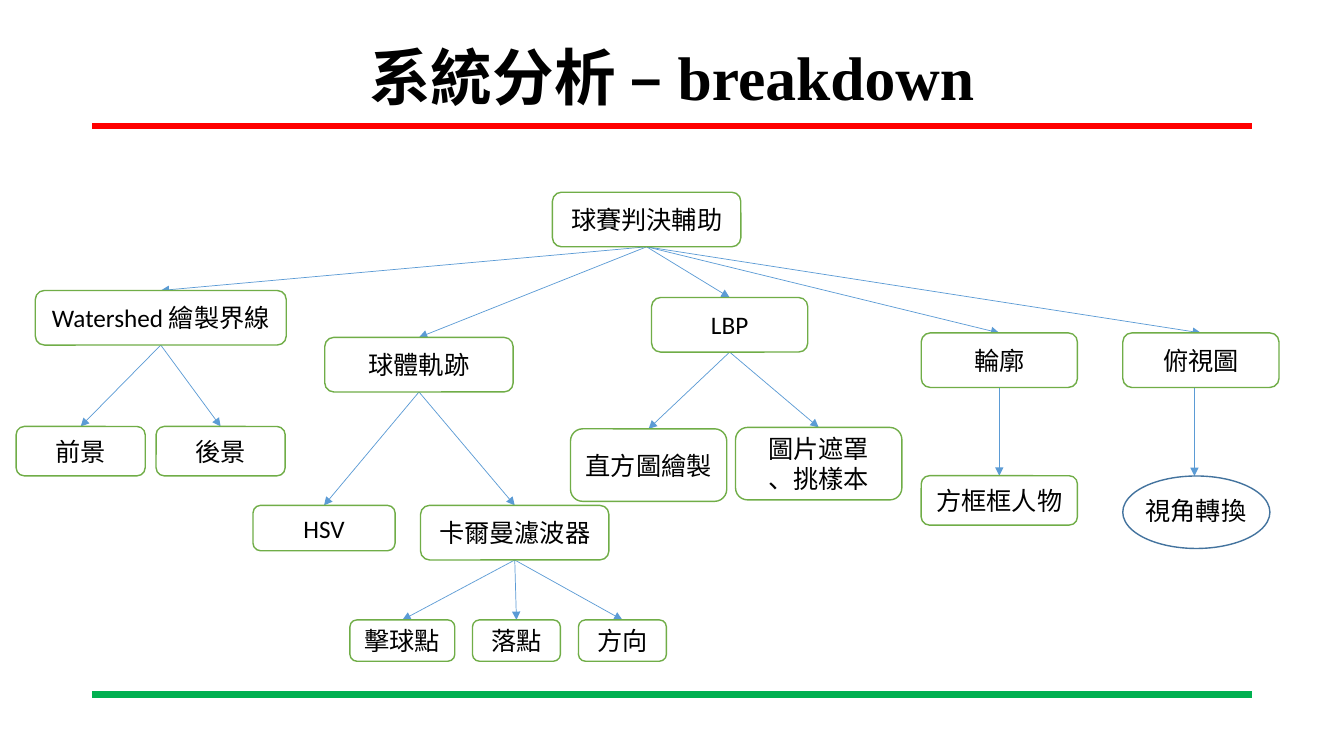
"""Build the system analysis breakdown slide."""
from lxml.etree import SubElement
from pptx import Presentation
from pptx.dml.color import RGBColor
from pptx.enum.shapes import MSO_CONNECTOR as LINK, MSO_SHAPE as KIND
from pptx.enum.text import MSO_ANCHOR as ANCHOR, PP_ALIGN as ALIGN
from pptx.oxml.ns import qn
from pptx.util import Pt

TITLE = "系統分析 – breakdown"
RULES = [(90, "FF0000"), (496, "00B050")]
ROOT, TRACK, FILTER = "球賽判決輔助", "球體軌跡", "卡爾曼濾波器"
SHED, CONTOUR, PLAN = "Watershed 繪製界線", "輪廓", "俯視圖"
MASK = "圖片遮罩\n、挑樣本"
# text: (parent, left, top, width, height)
NODES = {
    ROOT: (None, 394.6, 137.3, 134.6, 39),
    SHED: (ROOT, 25.2, 207.5, 179.3, 39),
    TRACK: (ROOT, 232, 241, 134.6, 39),
    "LBP": (ROOT, 465.4, 212.5, 111.6, 39),
    CONTOUR: (ROOT, 658, 237.8, 111.6, 39),
    PLAN: (ROOT, 802, 237.8, 111.6, 39),
    "前景": (SHED, 11.5, 304.6, 92.2, 35.3),
    "後景": (SHED, 111.5, 304.6, 92.2, 35.3),
    "HSV": (TRACK, 180.7, 361, 101.5, 32.4),
    FILTER: (TRACK, 300.4, 361, 134.6, 39),
    "直方圖繪製": ("LBP", 407.5, 306.3, 111.6, 51.8),
    MASK: ("LBP", 525.4, 305.3, 118.8, 51.8),
    "方框框人物": (CONTOUR, 658, 339.8, 111.6, 35.3),
    "擊球點": (FILTER, 250, 442.8, 74.9, 29.5),
    "落點": (FILTER, 337.5, 442.8, 62.8, 29.5),
    "方向": (FILTER, 413.2, 442.8, 62.8, 29.5),
}
VIEW, OVAL, LABEL = "視角轉換", (802, 340, 105.1, 51.8), (810.7, 349.9, 87.1, 28.8)
DROP = 853.2

deck = Presentation()
deck.slide_width, deck.slide_height = Pt(960), Pt(540)
slide = deck.slides.add_slide(deck.slide_layouts[6])
shapes = slide.shapes


def tint(code):
    return RGBColor.from_string(code)


def write(shape, text, size=18, font="Calibri", bold=False, gap=1.0):
    frame = shape.text_frame
    frame.vertical_anchor = ANCHOR.MIDDLE
    for i, line in enumerate(text.split("\n")):
        para = frame.add_paragraph() if i else frame.paragraphs[0]
        para.alignment, para.line_spacing = ALIGN.CENTER, gap
        run = para.add_run()
        run.text = line
        run.font.size, run.font.name, run.font.bold = Pt(size), font, bold
        run.font.color.rgb = tint("000000")


def draw(kind, box, edge):
    shape = shapes.add_shape(kind, *map(Pt, box))
    shape.shadow.inherit = False
    shape.line.color.rgb, shape.line.width = tint(edge), Pt(1)
    return shape


def link(x1, y1, x2, y2, color="5B9BD5", width=0.5, head=True):
    line = shapes.add_connector(LINK.STRAIGHT, *map(Pt, (x1, y1, x2, y2)))
    line.line.color.rgb, line.line.width = tint(color), Pt(width)
    props = line._element.spPr
    if head:
        SubElement(props.find(qn("a:ln")), qn("a:tailEnd"), type="triangle")
    SubElement(props, qn("a:effectLst"))


def label(box, text, wrap, **style):
    shape = shapes.add_textbox(*map(Pt, box))
    shape.text_frame.word_wrap = wrap
    write(shape, text, **style)


for y, color in RULES:
    link(66, y, 894, y, color, 4.5, False)
label((66, 28.8, 828, 56.9), TITLE, True,
      size=44, font="Times New Roman", bold=True, gap=0.9)

for text, (parent, *box) in NODES.items():
    if parent:
        _, px, py, pw, ph = NODES[parent]
        x, y, w, h = box
        link(px + pw / 2, py + ph, x + w / 2, y)
_, x, y, w, h = NODES[PLAN]
link(DROP, y + h, DROP, OVAL[1])

for text, (parent, *box) in NODES.items():
    node = draw(KIND.ROUNDED_RECTANGLE, box, "70AD47")
    node.fill.solid()
    node.fill.fore_color.rgb = tint("FFFFFF")
    write(node, text)
draw(KIND.OVAL, OVAL, "43739E").fill.background()
label(LABEL, VIEW, False)

deck.save("out.pptx")
